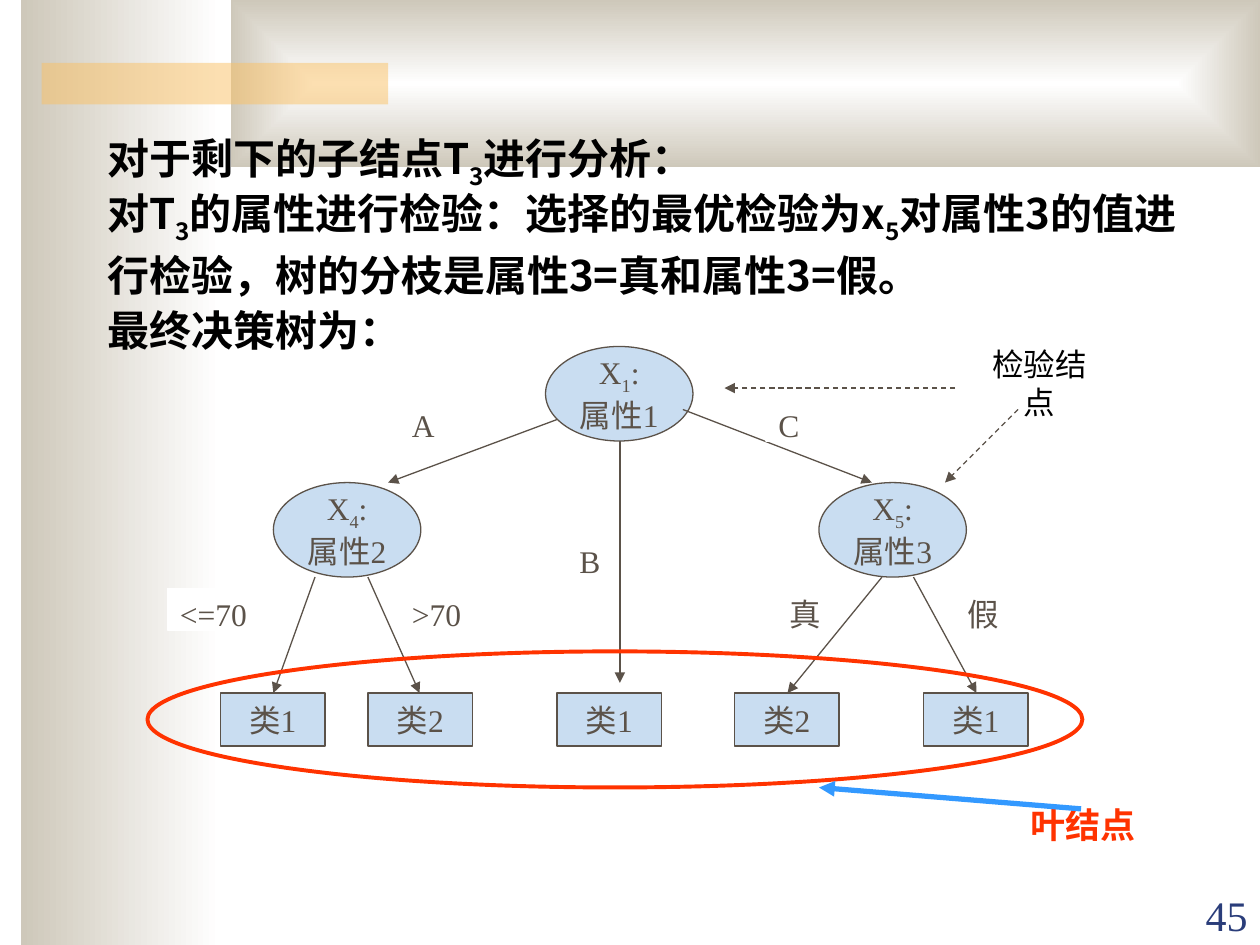
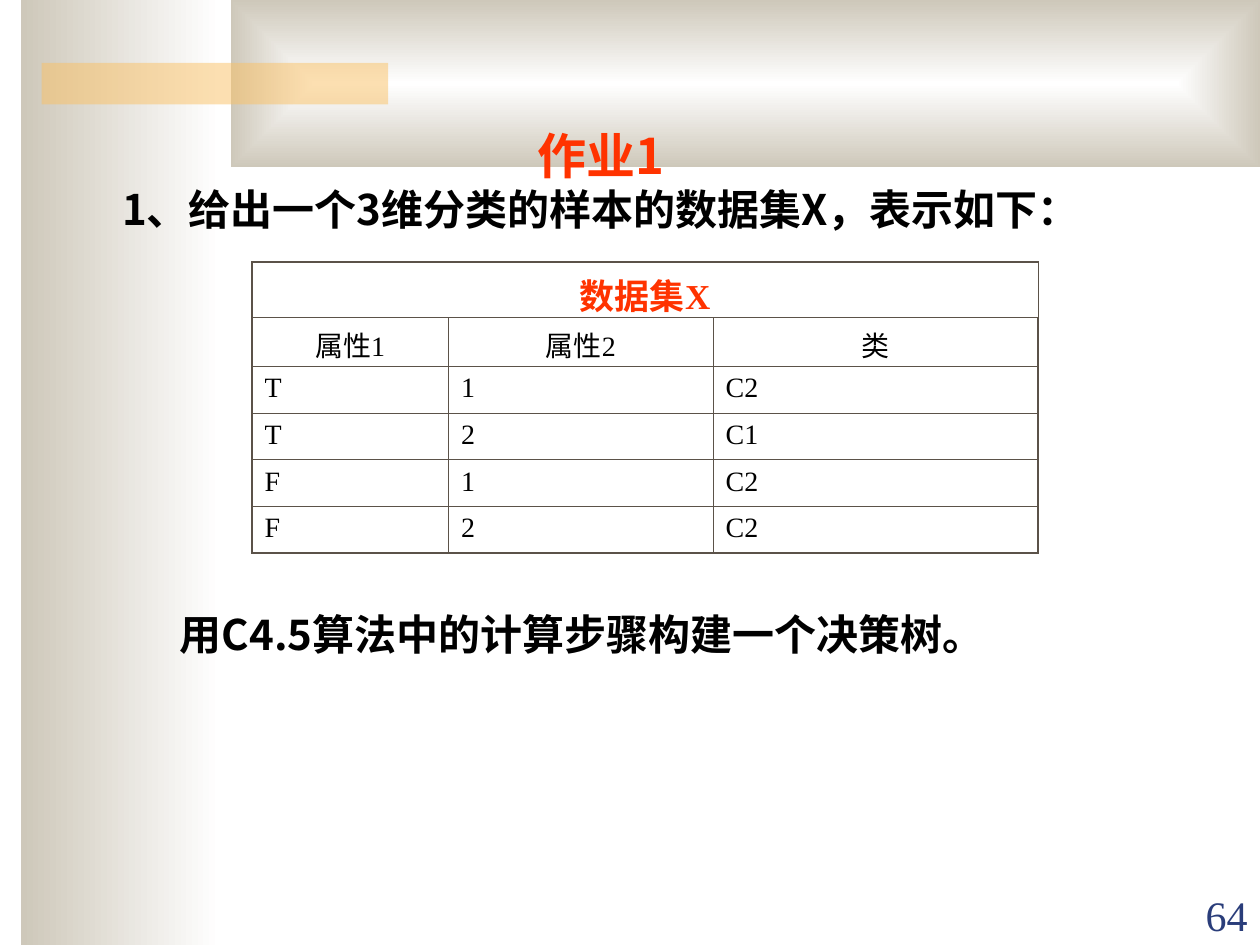
"""Builds two lecture slides on C4.5: the final decision tree and a homework data set."""
from dataclasses import dataclass

from lxml.etree import SubElement
from pptx import Presentation
from pptx.dml.color import RGBColor
from pptx.enum.dml import MSO_LINE
from pptx.enum.shapes import MSO_CONNECTOR, MSO_SHAPE
from pptx.enum.text import MSO_ANCHOR, MSO_AUTO_SIZE, PP_ALIGN
from pptx.oxml.ns import qn
from pptx.util import Inches, Pt


@dataclass(frozen=True)
class Theme:
    ink: str = "5B5249"
    text: str = "000000"
    paper: str = "FFFFFF"
    stone: str = "CEC8BA"
    accent: str = "FAC164"
    node: str = "C9DDF1"
    alert: str = "FF3300"
    pointer: str = "3399FF"
    number: str = "2A3D7A"
    serif: str = "Times New Roman"
    sans: str = "Noto Sans CJK SC"
    heading: str = "Noto Sans CJK JP"
    title_size: int = 28
    body_size: int = 24
    caption_size: int = 20
    node_size: int = 18
    cell_size: int = 16
    thin: float = 0.75
    inner_border: float = 0.45
    outer_border: float = 1.08


THEME = Theme()

# Text between bars is set as a subscript.
ANALYSIS = [
    "对于剩下的子结点T|3|进行分析：",
    "对T|3|的属性进行检验：选择的最优检验为x|5|对属性3的值进行检验，树的分枝是属性3=真和属性3=假。",
    "最终决策树为：",
]
TESTS = [
    (["X|1|:", "属性1"], 4.33, 2.75),
    (["X|4|:", "属性2"], 2.17, 3.83),
    (["X|5|:", "属性3"], 6.5, 3.83),
]
TEST_SIZE = (1.17, 0.75)
LEAVES = [("类1", 1.75), ("类2", 2.92), ("类1", 4.42), ("类2", 5.83), ("类1", 7.33)]
LEAF_TOP, LEAF_SIZE = 5.5, (0.83, 0.42)
BRANCHES = [
    ((4.42, 3.33), (3.08, 3.83)),
    ((4.92, 3.5), (4.92, 5.42)),
    ((2.5, 4.58), (2.17, 5.5)),
    ((2.92, 4.58), (3.33, 5.5)),
    ((5.42, 3.25), (6.92, 3.83)),
    ((7, 4.58), (6.25, 5.5)),
    ((7.25, 4.58), (7.75, 5.5)),
]
TEST_POINTERS = [((7.58, 3.08), (5.75, 3.08)), ((8.08, 3.25), (7.5, 3.83))]
BRANCH_LABELS = [
    ("A", (3.17, 3.17, 0.5, 0.42)),
    ("B", (4.5, 4.25, 0.33, 0.33)),
    ("C", (6.08, 3.17, 0.5, 0.33)),
    ("<=70", (1.33, 4.67, 0.92, 0.33)),
    (">70", (3.17, 4.67, 0.92, 0.33)),
    ("真", (6.17, 4.67, 0.42, 0.33)),
    ("假", (7.58, 4.67, 0.42, 0.33)),
]

HOMEWORK = "作业1"
QUESTION = "1、给出一个3维分类的样本的数据集X，表示如下："
TASK = "用C4.5算法中的计算步骤构建一个决策树。"
DATASET_TITLE = "数据集X"
DATASET = [
    ("属性1", "属性2", "类"),
    ("T", "1", "C2"),
    ("T", "2", "C1"),
    ("F", "1", "C2"),
    ("F", "2", "C2"),
]
COLUMN_WIDTHS = [1.56, 2.1, 2.58]
ROW_HEIGHTS = [0.44, 0.39] + [0.37] * 4


def rgb(color):
    return RGBColor.from_string(color)


def inches(lengths):
    return [Inches(length) for length in lengths]


def write(frame, lines, size=THEME.node_size, color=THEME.ink, font=THEME.serif, bold=False,
          align=PP_ALIGN.LEFT, anchor=MSO_ANCHOR.TOP, wrap=True, before=0, pitch=None):
    """Fill a text frame with lines, setting the pieces between bars as subscripts."""
    frame.word_wrap = wrap
    frame.vertical_anchor = anchor
    for index, line in enumerate(lines):
        paragraph = frame.add_paragraph() if index else frame.paragraphs[0]
        paragraph.alignment = align
        paragraph.space_before = Pt(before)
        if pitch:
            paragraph.line_spacing = Pt(pitch)
        for part, piece in enumerate(line.split("|")):
            run = paragraph.add_run()
            run.text = piece
            run.font.size, run.font.bold, run.font.name = Pt(size), bold, font
            run.font.color.rgb = rgb(color)
            properties = run._r.get_or_add_rPr()
            east_asian = THEME.sans if font == THEME.serif else font
            SubElement(properties, qn("a:ea")).set("typeface", east_asian)
            if part % 2:
                properties.set("baseline", "-25000")


def add_box(slide, kind, box, fill=None, line=None, width=THEME.thin):
    shape = slide.shapes.add_shape(kind, *inches(box))
    shape.shadow.inherit = False
    if fill:
        shape.fill.solid()
        shape.fill.fore_color.rgb = rgb(fill)
    else:
        shape.fill.background()
    if line:
        shape.line.color.rgb = rgb(line)
        shape.line.width = Pt(width)
    else:
        shape.line.fill.background()
    return shape


def add_text(slide, box, lines, **style):
    write(slide.shapes.add_textbox(*inches(box)).text_frame, lines, **style)


def add_arrow(slide, start, end, color=THEME.ink, width=THEME.thin, dashed=False):
    arrow = slide.shapes.add_connector(MSO_CONNECTOR.STRAIGHT, *inches(start + end))
    arrow.line.color.rgb = rgb(color)
    arrow.line.width = Pt(width)
    if dashed:
        arrow.line.dash_style = MSO_LINE.DASH
    SubElement(arrow.get_or_add_ln(), qn("a:tailEnd")).set("type", "triangle")
    SubElement(arrow.element.spPr, qn("a:effectLst"))


def fill_placeholder(placeholder, box, lines, **style):
    placeholder.left, placeholder.top, placeholder.width, placeholder.height = inches(box)
    frame = placeholder.text_frame
    write(frame, lines, **style)
    frame.auto_size = MSO_AUTO_SIZE.NONE
    for paragraph in frame.paragraphs:
        properties = paragraph._p.get_or_add_pPr()
        properties.set("marL", "0")
        properties.set("indent", "0")
        SubElement(properties, qn("a:buNone"))


def shade(shape, angle=0):
    shape.fill.gradient()
    shape.fill.gradient_angle = angle
    for stop, color in zip(shape.fill.gradient_stops, (THEME.paper, THEME.stone)):
        stop.color.rgb = rgb(color)


def add_backdrop(slide):
    side = add_box(slide, MSO_SHAPE.RECTANGLE, (0.17, 0, 1.58, 7.5))
    shade(side, 180)
    header = add_box(slide, MSO_SHAPE.RECTANGLE, (1.83, 0, 8.17, 1.33))
    shade(header)
    gradient = header.element.spPr.find(qn("a:gradFill"))
    gradient.remove(gradient.find(qn("a:lin")))
    centre = SubElement(SubElement(gradient, qn("a:path"), path="rect"), qn("a:fillToRect"))
    for edge in "ltrb":
        centre.set(edge, "50000")
    strip = add_box(slide, MSO_SHAPE.RECTANGLE, (0.33, 0.5, 2.75, 0.33), THEME.accent)
    strip_color = strip.element.spPr.find(qn("a:solidFill"))[0]
    SubElement(strip_color, qn("a:alpha")).set("val", "50000")
    for depth, shape in enumerate((side, header, strip), start=2):
        slide.shapes.element.insert(depth, shape.element)


def new_slide(deck, number):
    slide = deck.slides.add_slide(deck.slide_layouts[1])
    add_backdrop(slide)
    add_text(slide, (9, 7.01, 1, 0.5), [number], size=THEME.body_size, color=THEME.number,
             align=PP_ALIGN.RIGHT, anchor=MSO_ANCHOR.BOTTOM)
    return slide


def build_tree(slide):
    title = slide.shapes.title.element
    title.getparent().remove(title)
    fill_placeholder(slide.placeholders[1], (0.75, 1.02, 8.83, 1.81), ANALYSIS, pitch=31.5,
                     size=THEME.body_size, color=THEME.text, font=THEME.sans, bold=True)

    centred = dict(align=PP_ALIGN.CENTER, anchor=MSO_ANCHOR.MIDDLE, wrap=False)
    nodes = [(MSO_SHAPE.OVAL, lines, (left, top, *TEST_SIZE)) for lines, left, top in TESTS]
    nodes += [(MSO_SHAPE.RECTANGLE, [leaf], (left, LEAF_TOP, *LEAF_SIZE)) for leaf, left in LEAVES]
    for kind, lines, box in nodes:
        write(add_box(slide, kind, box, THEME.node, THEME.ink).text_frame, lines, **centred)
    for start, end in BRANCHES:
        add_arrow(slide, start, end)

    add_text(slide, (7.75, 2.83, 1, 0.42), ["检验结点"], color=THEME.text, **centred)
    for start, end in TEST_POINTERS:
        add_arrow(slide, start, end, dashed=True)
    for label, box in BRANCH_LABELS:
        patch = add_box(slide, MSO_SHAPE.RECTANGLE, box, THEME.paper, THEME.paper)
        write(patch.text_frame, [label])

    add_box(slide, MSO_SHAPE.OVAL, (1.17, 5.17, 7.42, 1.08), line=THEME.alert, width=2.25)
    leaf_caption = add_box(slide, MSO_SHAPE.RECTANGLE, (8.08, 6.33, 1.08, 0.42),
                           THEME.paper, THEME.paper)
    write(leaf_caption.text_frame, ["叶结点"], size=THEME.caption_size, color=THEME.alert, bold=True)
    add_arrow(slide, (8.58, 6.42), (6.5, 6.25), THEME.pointer, 3)


def set_borders(cell, outer_edges):
    properties = cell._tc.get_or_add_tcPr()
    for edge in "LRTB":
        width = THEME.outer_border if edge in outer_edges else THEME.inner_border
        border = SubElement(properties, qn("a:ln" + edge), w=str(Pt(width)))
        SubElement(SubElement(border, qn("a:solidFill")), qn("a:srgbClr"), val=THEME.ink)


def add_dataset(slide):
    rows, columns = len(ROW_HEIGHTS), len(COLUMN_WIDTHS)
    table = slide.shapes.add_table(rows, columns, *inches((2, 2.08, 6.25, 2.3))).table
    table.first_row = table.horz_banding = False
    for column, width in zip(table.columns, COLUMN_WIDTHS):
        column.width = Inches(width)
    for row, height in zip(table.rows, ROW_HEIGHTS):
        row.height = Inches(height)
    for r in range(rows):
        for c in range(columns):
            cell = table.cell(r, c)
            on_edge = {"L": c == 0, "R": c == columns - 1, "T": r == 0, "B": r == rows - 1}
            set_borders(cell, [edge for edge, outer in on_edge.items() if outer])
            cell.fill.background()
            if r:
                write(cell.text_frame, [DATASET[r - 1][c]], size=THEME.cell_size,
                      color=THEME.text, before=4,
                      align=PP_ALIGN.CENTER if r == 1 else PP_ALIGN.LEFT)
    heading = table.cell(0, 0)
    heading.merge(table.cell(0, columns - 1))
    write(heading.text_frame, [DATASET_TITLE], size=THEME.caption_size, color=THEME.alert,
          bold=True, align=PP_ALIGN.CENTER, before=5)


def build_homework(slide):
    statement = dict(size=THEME.body_size, color=THEME.text, font=THEME.sans, bold=True,
                     wrap=False, pitch=29)
    fill_placeholder(slide.shapes.title, (0.67, 0.94, 8.2, 0.57), [HOMEWORK], pitch=34,
                     size=THEME.title_size, color=THEME.alert, font=THEME.heading, bold=True,
                     align=PP_ALIGN.CENTER)
    fill_placeholder(slide.placeholders[1], (0.67, 1.4, 8.2, 0.5), [QUESTION],
                     align=PP_ALIGN.CENTER, **statement)
    add_dataset(slide)
    add_text(slide, (1.33, 4.78, 6.74, 0.5), [TASK], **statement)


def main():
    deck = Presentation()
    deck.slide_width, deck.slide_height = Inches(10), Inches(7.5)
    build_tree(new_slide(deck, "45"))
    build_homework(new_slide(deck, "64"))
    deck.save("out.pptx")


if __name__ == "__main__":
    main()
